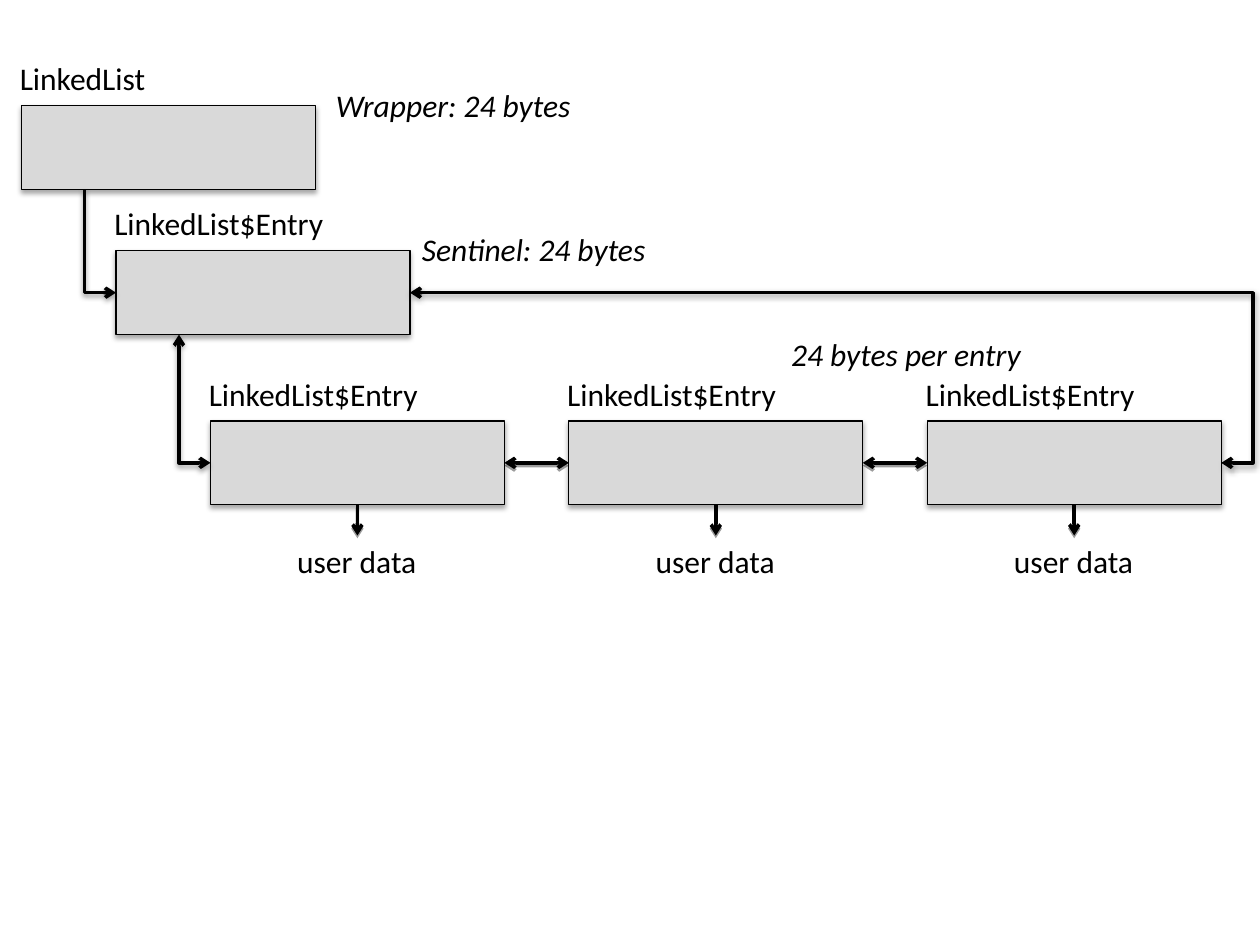
from dataclasses import dataclass

from lxml import etree
from pptx import Presentation, util as u
from pptx.dml.color import RGBColor
from pptx.enum import shapes
from pptx.oxml import ns

COLORS = {"box": "D9D9D9", "ink": "000000"}
BOX_WIDTH, BOX_HEIGHT = 168, 48
ROW_TOP, ROW_LEFT, ROW_STEP = 240.5, 120.25, 204.8


@dataclass
class Node:
    name: str
    left: float
    top: float
    has_data: bool = False

    @property
    def right(self) -> float:
        return self.left + BOX_WIDTH

    @property
    def bottom(self) -> float:
        return self.top + BOX_HEIGHT

    @property
    def middle(self) -> float:
        return self.top + BOX_HEIGHT / 2


@dataclass
class Note:
    words: str
    left: float
    top: float
    width: float


deck = Presentation()
deck.slide_width, deck.slide_height = u.Pt(720), u.Pt(540)
page = deck.slides.add_slide(deck.slide_layouts[6])


def ink(name: str) -> RGBColor:
    return RGBColor.from_string(COLORS[name])


def add_shadow(effects, alpha: int, blur: float, distance: float) -> None:
    shadow = etree.SubElement(
        effects, ns.qn("a:outerShdw"), blurRad=str(u.Pt(blur)),
        dist=str(u.Pt(distance)), dir="5400000", rotWithShape="0")
    color = etree.SubElement(shadow, ns.qn("a:srgbClr"), val=COLORS["ink"])
    etree.SubElement(color, ns.qn("a:alpha"), val=str(alpha * 1000))


def add_text(words: str, left: float, top: float, width: float,
             italic: bool = False, wrap: bool = False) -> None:
    box = page.shapes.add_textbox(u.Pt(left), u.Pt(top), u.Pt(width), u.Pt(29))
    box.text_frame.word_wrap = wrap
    para = box.text_frame.paragraphs[0]
    para.text = words
    para.font.name, para.font.size = "Calibri", u.Pt(18)
    para.font.italic = italic
    para.font.color.rgb = ink("ink")


def add_arrow(x1: float, y1: float, x2: float, y2: float, both: bool = True,
              kind=shapes.MSO_CONNECTOR.STRAIGHT, blur: float = 0):
    arrow = page.shapes.add_connector(kind, u.Pt(x1), u.Pt(y1), u.Pt(x2), u.Pt(y2))
    arrow.line.width = u.Pt(2)
    arrow.line.color.rgb = ink("ink")
    line = arrow.line._get_or_add_ln()
    for end in ("a:headEnd", "a:tailEnd") if both else ("a:tailEnd",):
        etree.SubElement(line, ns.qn(end), type="arrow")
    effects = etree.SubElement(arrow._element.spPr, ns.qn("a:effectLst"))
    add_shadow(effects, 38, blur, 1.6)
    return arrow


def add_down_right(x1: float, y1: float, x2: float, y2: float, both: bool) -> None:
    """Draw a one-corner arrow that goes down, then right."""
    center_x, center_y = (x1 + x2) / 2, (y1 + y2) / 2
    half_x, half_y = (x2 - x1) / 2, (y2 - y1) / 2
    arrow = add_arrow(center_x - half_y, center_y - half_x,
                      center_x + half_y, center_y + half_x,
                      both, shapes.MSO_CONNECTOR.ELBOW, 3.1)
    properties = arrow._element.spPr
    properties.find(ns.qn("a:prstGeom")).set("prst", "bentConnector2")
    frame = properties.find(ns.qn("a:xfrm"))
    frame.set("rot", "16200000")
    frame.set("flipH", "1")


def add_node(node: Node):
    box = page.shapes.add_shape(
        shapes.MSO_SHAPE.RECTANGLE, u.Pt(node.left), u.Pt(node.top),
        u.Pt(BOX_WIDTH), u.Pt(BOX_HEIGHT))
    box.fill.solid()
    box.fill.fore_color.rgb = ink("box")
    box.line.width = u.Pt(0.75)
    box.line.color.rgb = ink("ink")
    box.shadow.inherit = False
    add_shadow(box._element.spPr.find(ns.qn("a:effectLst")), 35, 3.1, 1.8)
    add_text(node.name, node.left - 8, node.top - 30,
             136 if "$" in node.name else 88)
    if node.has_data:
        center = node.left + BOX_WIDTH / 2
        add_arrow(center, node.bottom, center, node.bottom + 17.5, both=False)
        add_text("user data", node.left + 42.5, node.bottom + 17.5, 83)
    return box


# Boxes with their labels and user data
wrapper = Node("LinkedList", 12.25, 60.25)
sentinel = Node("LinkedList$Entry", 66.25, 143.25)
entries = [Node("LinkedList$Entry", ROW_LEFT + i * ROW_STEP, ROW_TOP, True)
           for i in range(3)]
add_node(wrapper)
add_node(sentinel)
entry_boxes = [add_node(entry) for entry in entries]

# Size notes
for note in (Note("Wrapper: 24 bytes", 184.8, 45.5, 157),
             Note("Sentinel: 24 bytes", 234, 128, 151),
             Note("24 bytes per entry", 445, 188, 148)):
    add_text(note.words, note.left, note.top, note.width, italic=True, wrap=True)

# Links down the left side
for parent, child, both in ((wrapper, sentinel, False), (sentinel, entries[0], True)):
    add_down_right(parent.left + 36, parent.bottom, child.left, child.middle, both)

# Links between neighbouring entries
for i, (near, far) in enumerate(zip(entries, entries[1:])):
    link = add_arrow(near.right, near.middle, far.left, far.middle)
    link.begin_connect(entry_boxes[i], 3)
    link.end_connect(entry_boxes[i + 1], 1)

# Link from the sentinel round to the last entry
last = entries[-1]
loop = add_arrow(sentinel.right, sentinel.middle, last.right, last.middle,
                 kind=shapes.MSO_CONNECTOR.ELBOW, blur=3.1)
guides = loop._element.spPr.find(ns.qn("a:prstGeom")).find(ns.qn("a:avLst"))
turn = 1 + 18 / (last.right - sentinel.right)
etree.SubElement(guides, ns.qn("a:gd"), name="adj1", fmla=f"val {turn * 100000:.0f}")

deck.save("out.pptx")
